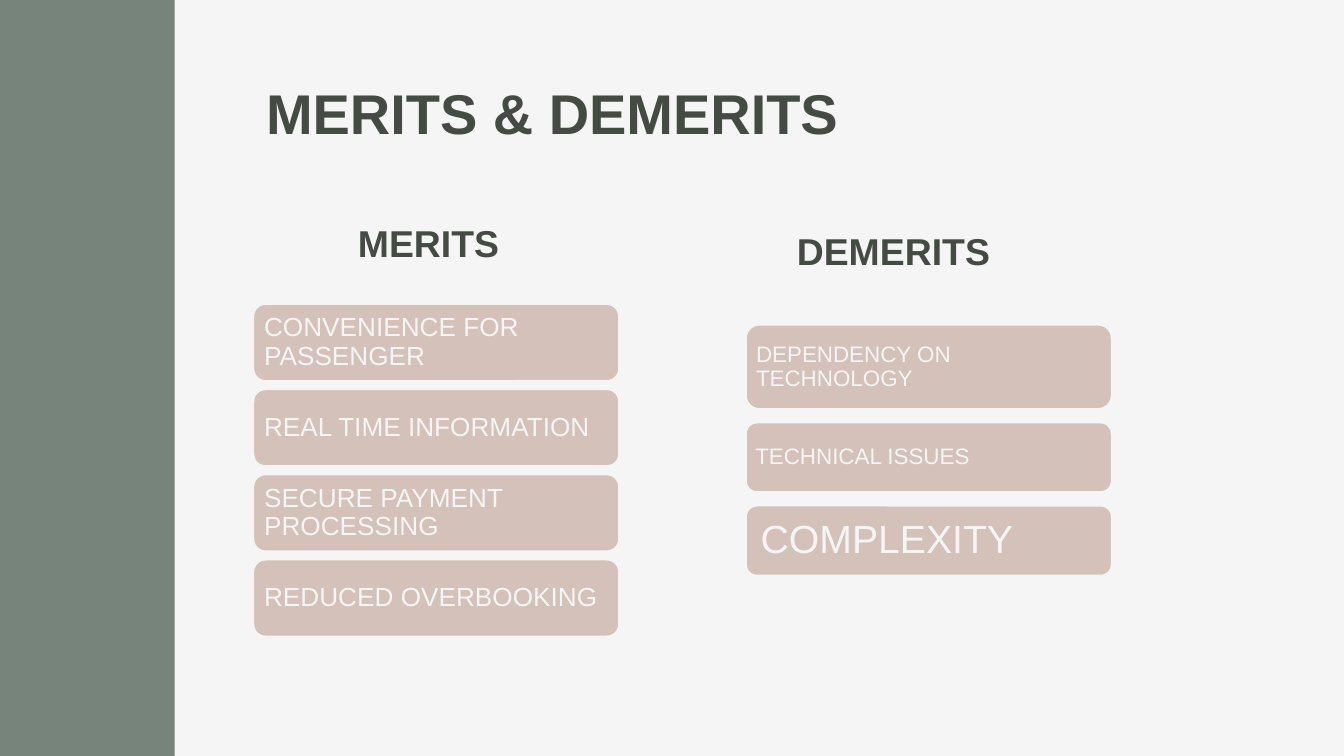
from dataclasses import dataclass

from pptx import Presentation
from pptx import util as u
from pptx.dml.color import RGBColor
from pptx.enum import shapes, text

PAPER, SAGE, ROSE, INK = "F5F5F5", "77847B", "D3C1BA", "434B43"
CARD_WIDTH = 6.95


@dataclass
class Heading:
    label: str
    left: float
    top: float
    width: float
    height: float
    size: int
    indent: float = 0.25
    anchor: text.MSO_ANCHOR = text.MSO_ANCHOR.BOTTOM
    align: text.PP_ALIGN = text.PP_ALIGN.LEFT


@dataclass
class Card:
    label: str
    height: float
    size: int
    inset: float


@dataclass
class Column:
    left: float
    top: float
    gap: float
    cards: list[Card]


def paint(fill, color: str) -> None:
    fill.solid()
    fill.fore_color.rgb = RGBColor.from_string(color)


def write(sp, label: str, size: int, color: str, bold: bool,
          left: float, inset: float, anchor, align):
    tf = sp.text_frame
    tf.word_wrap = True
    tf.vertical_anchor = anchor
    tf.margin_left = u.Cm(left)
    tf.margin_right = tf.margin_top = tf.margin_bottom = u.Cm(inset)
    tf.text = label
    p = tf.paragraphs[0]
    p.alignment = align
    font = p.runs[0].font
    font.name, font.size, font.bold = "Arial", u.Pt(size), bold
    paint(font.fill, color)
    return p


def add_block(s, kind, left: float, top: float, width: float, height: float, color: str):
    sp = s.shapes.add_shape(kind, u.Cm(left), u.Cm(top), u.Cm(width), u.Cm(height))
    sp.shadow.inherit = False
    paint(sp.fill, color)
    sp.line.fill.background()
    return sp


def add_heading(s, h: Heading) -> None:
    sp = s.shapes.add_textbox(u.Cm(h.left), u.Cm(h.top), u.Cm(h.width), u.Cm(h.height))
    write(sp, h.label, h.size, INK, True, h.indent, 0.25, h.anchor, h.align)


def add_column(s, column: Column) -> None:
    top = column.top
    for card in column.cards:
        sp = add_block(s, shapes.MSO_SHAPE.ROUNDED_RECTANGLE,
                       column.left, top, CARD_WIDTH, card.height, ROSE)
        paint(sp.line.fill, PAPER)
        sp.line.width = u.Pt(2)
        p = write(sp, card.label, card.size, PAPER, False, card.inset, card.inset,
                  text.MSO_ANCHOR.MIDDLE, text.PP_ALIGN.LEFT)
        p.line_spacing = 0.9
        top += card.height + column.gap


HEADINGS = [
    Heading("MERITS & DEMERITS", 4.78, 1.24, 18.64, 1.6, 30, anchor=text.MSO_ANCHOR.TOP),
    Heading("MERITS", 5.94, 3.71, 3.89, 1.55, 20, indent=0.68, align=text.PP_ALIGN.CENTER),
    Heading("DEMERITS", 14.38, 3.58, 6.96, 1.83, 20, indent=0.68),
]

MERITS = ["CONVENIENCE FOR PASSENGER", "REAL TIME INFORMATION",
          "SECURE PAYMENT PROCESSING", "REDUCED OVERBOOKING"]

COLUMNS = [
    Column(4.77, 5.73, 0.12, [Card(label, 1.49, 14, 0.15) for label in MERITS]),
    Column(14.08, 6.12, 0.22, [
        Card("DEPENDENCY ON TECHNOLOGY", 1.63, 12, 0.13),
        Card("TECHNICAL ISSUES", 1.35, 12, 0.13),
        Card("COMPLEXITY", 1.36, 21, 0.23),
    ]),
]


def main() -> None:
    prs = Presentation()
    prs.slide_width, prs.slide_height = u.Cm(25.4), u.Cm(14.29)
    s = prs.slides.add_slide(prs.slide_layouts[6])
    paint(s.background.fill, PAPER)
    add_block(s, shapes.MSO_SHAPE.RECTANGLE, 0, 0, 3.3, 14.29, SAGE)
    for heading in HEADINGS:
        add_heading(s, heading)
    for column in COLUMNS:
        add_column(s, column)
    prs.save("out.pptx")


if __name__ == "__main__":
    main()
